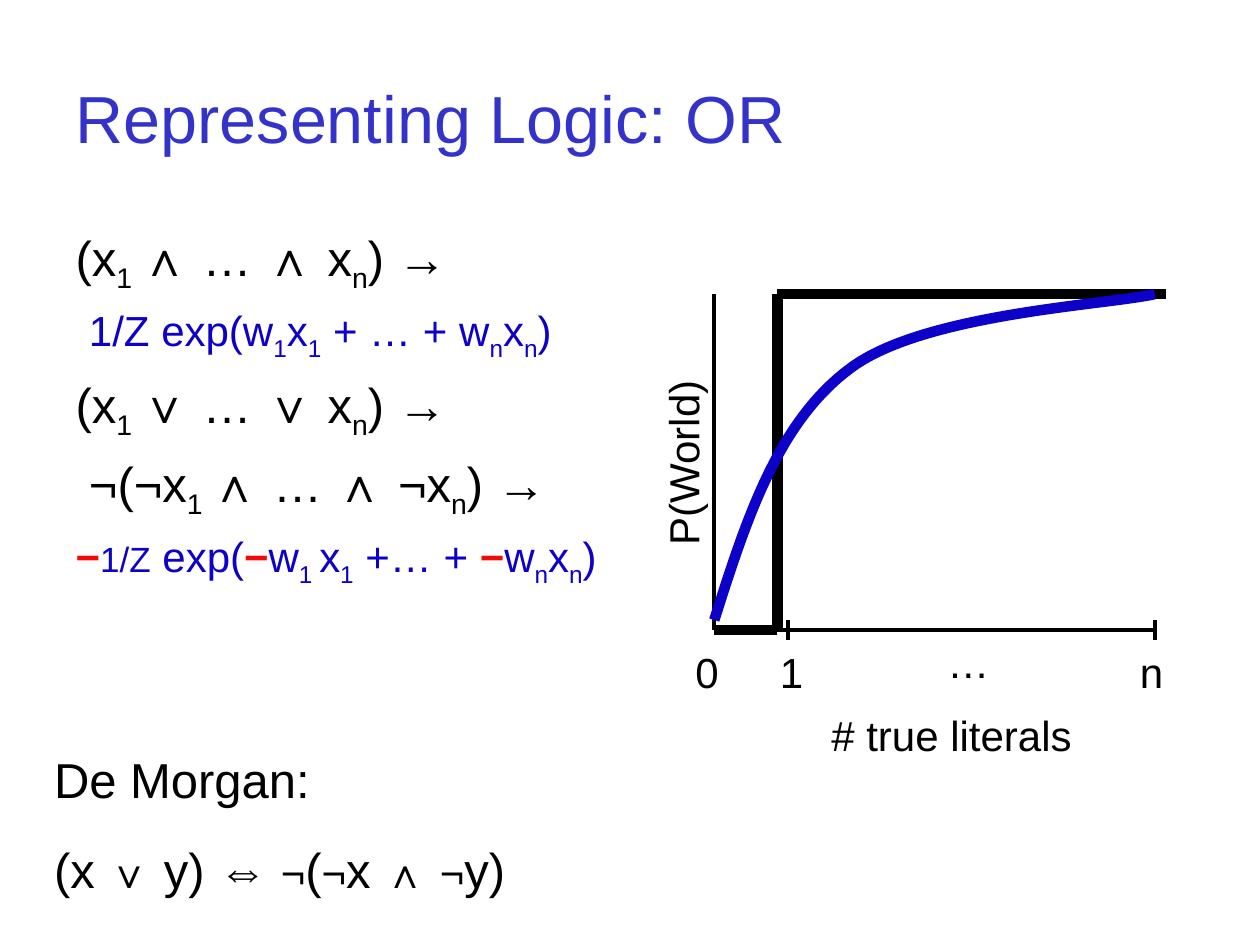
from lxml.etree import SubElement
from pptx import Presentation
from pptx.dml.color import RGBColor
from pptx.enum.shapes import MSO_CONNECTOR
from pptx.enum.text import MSO_ANCHOR, MSO_AUTO_SIZE, PP_ALIGN
from pptx.oxml.ns import qn
from pptx.util import Cm, Pt

FONT = "Arial"
COLORS = {"title": "3333CC", "ink": "000000", "formula": "0C00C9", "minus": "F40A05"}

# Run styles: size, colour, bold, subscript
STYLES = {
    "title": (38, "title", False, False),
    "logic": (28, "ink", False, False),
    "logic_sub": (28, "ink", False, True),
    "symbol": (24, "ink", False, False),
    "exp": (24, "formula", False, False),
    "exp_sub": (24, "formula", False, True),
    "factor": (20, "formula", False, False),
    "minus": (24, "minus", True, False),
}

# Paragraphs: space before, extra first-line indent in cm, runs
FORMULAS = [
    (0, 0, [("(x", "logic"), ("1 ", "logic_sub"), ("∧ … ∧ x", "logic"),
            ("n", "logic_sub"), (") →", "logic")]),
    (6, 0.27, [("1/Z exp(w", "exp"), ("1", "exp_sub"), ("x", "exp"), ("1", "exp_sub"),
               (" + … + w", "exp"), ("n", "exp_sub"), ("x", "exp"),
               ("n", "exp_sub"), (")", "exp")]),
    (7, 0, [("(x", "logic"), ("1 ", "logic_sub"), ("∨ … ∨ x", "logic"),
            ("n", "logic_sub"), (") →", "logic")]),
    (7, 0.27, [("¬(¬x", "logic"), ("1 ", "logic_sub"), ("∧ … ∧ ¬x", "logic"),
               ("n", "logic_sub"), (") →", "logic")]),
    (6, 0, [("−", "minus"), ("1/Z", "factor"), (" exp(", "exp"), ("−", "minus"),
            ("w", "exp"), ("1 ", "exp_sub"), ("x", "exp"), ("1", "exp_sub"),
            (" +… + ", "exp"), ("−", "minus"), ("w", "exp"), ("n", "exp_sub"),
            ("x", "exp"), ("n", "exp_sub"), (")", "exp")]),
]
DE_MORGAN = [
    (0, 0, [("De Morgan:", "logic")]),
    (17.5, 0, [("(x ", "logic"), ("∨", "symbol"), (" y) ⇔ ", "logic"), ("¬", "symbol"),
               ("(", "logic"), ("¬", "symbol"), ("x ", "logic"), ("∧", "symbol"),
               (" ", "logic"), ("¬", "symbol"), ("y)", "logic")]),
]

# Plot geometry in cm
ZERO_X, STEP_X, ONE_X, N_X, STEP_END_X = 14.4, 15.67, 15.88, 23.28, 23.5
TOP_Y, AXIS_Y, TICK = 5.93, 12.7, 0.2
CURVE = [(ZERO_X, 12.5), (15.04, 10.49), (15.67, 8.51), (17.15, 7.42),
         (18.62, 6.32), (22.3, 6.15), (N_X, TOP_Y)]


def rgb(color):
    return RGBColor.from_string(COLORS[color])


def place(shape, left, top, width, height):
    shape.left, shape.top, shape.width, shape.height = map(Cm, (left, top, width, height))


def format_run(run, style):
    size, color, bold, subscript = STYLES[style]
    run.font.name, run.font.size, run.font.bold = FONT, Pt(size), bold
    run.font.color.rgb = rgb(color)
    if subscript:
        run._r.get_or_add_rPr().set("baseline", "-25000")


def fill_paragraphs(frame, rows, hanging=0):
    for index, (space, indent, runs) in enumerate(rows):
        paragraph = frame.paragraphs[0] if index == 0 else frame.add_paragraph()
        paragraph.space_before = Pt(space)
        properties = paragraph._p.get_or_add_pPr()
        properties.set("marL", str(Cm(hanging)))
        properties.set("indent", str(Cm(indent - hanging)))
        SubElement(properties, qn("a:buNone"))
        for text, style in runs:
            run = paragraph.add_run()
            run.text = text
            format_run(run, style)


def add_title(slide, text):
    title = slide.shapes.title
    place(title, 1.27, 0.76, 22.86, 3.18)
    frame = title.text_frame
    frame.text = text
    frame.auto_size = MSO_AUTO_SIZE.NONE
    frame.vertical_anchor = MSO_ANCHOR.MIDDLE
    frame.paragraphs[0].alignment = PP_ALIGN.LEFT
    format_run(frame.paragraphs[0].runs[0], "title")


def add_label(slide, text, left, top, width, rotation=0):
    label = slide.shapes.add_textbox(Cm(left), Cm(top), Cm(width), Cm(1.27))
    label.rotation = rotation
    frame = label.text_frame
    frame.text = text
    frame.word_wrap = False
    format_run(frame.paragraphs[0].runs[0], "symbol")


def add_line(slide, x1, y1, x2, y2, weight=2.25):
    line = slide.shapes.add_connector(MSO_CONNECTOR.STRAIGHT, Cm(x1), Cm(y1), Cm(x2), Cm(y2))
    line.line.color.rgb = rgb("ink")
    line.line.width = Pt(weight)
    SubElement(line._element.spPr, qn("a:effectLst"))


def add_curve(slide, points):
    start, *controls = [(Cm(x), Cm(y)) for x, y in points]
    builder = slide.shapes.build_freeform(*start)
    builder.add_line_segments(controls, close=False)
    curve = builder.convert_to_shape()
    curve.shadow.inherit = False
    curve.fill.background()
    curve.line.color.rgb = rgb("formula")
    curve.line.width = Pt(6)
    # Each three points become one cubic Bézier segment
    segments = list(curve._element.iter(qn("a:lnTo")))
    outline = segments[0].getparent()
    for first in range(0, len(segments), 3):
        bezier = SubElement(outline, qn("a:cubicBezTo"))
        for segment in segments[first:first + 3]:
            bezier.append(segment[0])
            outline.remove(segment)


def main():
    presentation = Presentation()
    presentation.slide_width, presentation.slide_height = Cm(25.4), Cm(19.05)
    slide = presentation.slides.add_slide(presentation.slide_layouts[1])

    # Title and formulas
    add_title(slide, "Representing Logic: OR")
    formulas = slide.placeholders[1]
    place(formulas, 1.27, 4.45, 11.23, 12.57)
    formulas.text_frame.auto_size = MSO_AUTO_SIZE.NONE
    fill_paragraphs(formulas.text_frame, FORMULAS, hanging=0.97)

    # De Morgan's law
    law = slide.shapes.add_textbox(Cm(0.84), Cm(14.99), Cm(14.81), Cm(3.25))
    law.text_frame.word_wrap = True
    fill_paragraphs(law.text_frame, DE_MORGAN)

    # Axes, ticks and labels
    add_line(slide, ZERO_X, TOP_Y, ZERO_X, AXIS_Y)
    add_line(slide, ZERO_X, AXIS_Y, N_X, AXIS_Y)
    for tick_x in (ONE_X, N_X):
        add_line(slide, tick_x, AXIS_Y - TICK, tick_x, AXIS_Y + TICK)
    for text, left in (("0", 13.77), ("1", 15.47), ("n", 22.73)):
        add_label(slide, text, left, 12.9, 0.97)
    add_label(slide, "…", 18.85, AXIS_Y, 1.35)
    add_label(slide, "P(World)", 11.84, 8.69, 3.84, rotation=270)
    add_label(slide, "# true literals", 16.51, 14.18, 5.36)

    # Hard OR as a step, soft OR as a curve
    step = [(ZERO_X, AXIS_Y), (STEP_X, AXIS_Y), (STEP_X, TOP_Y), (STEP_END_X, TOP_Y)]
    for start, end in zip(step, step[1:]):
        add_line(slide, *start, *end, weight=6)
    add_curve(slide, CURVE)

    presentation.save("out.pptx")


if __name__ == "__main__":
    main()
